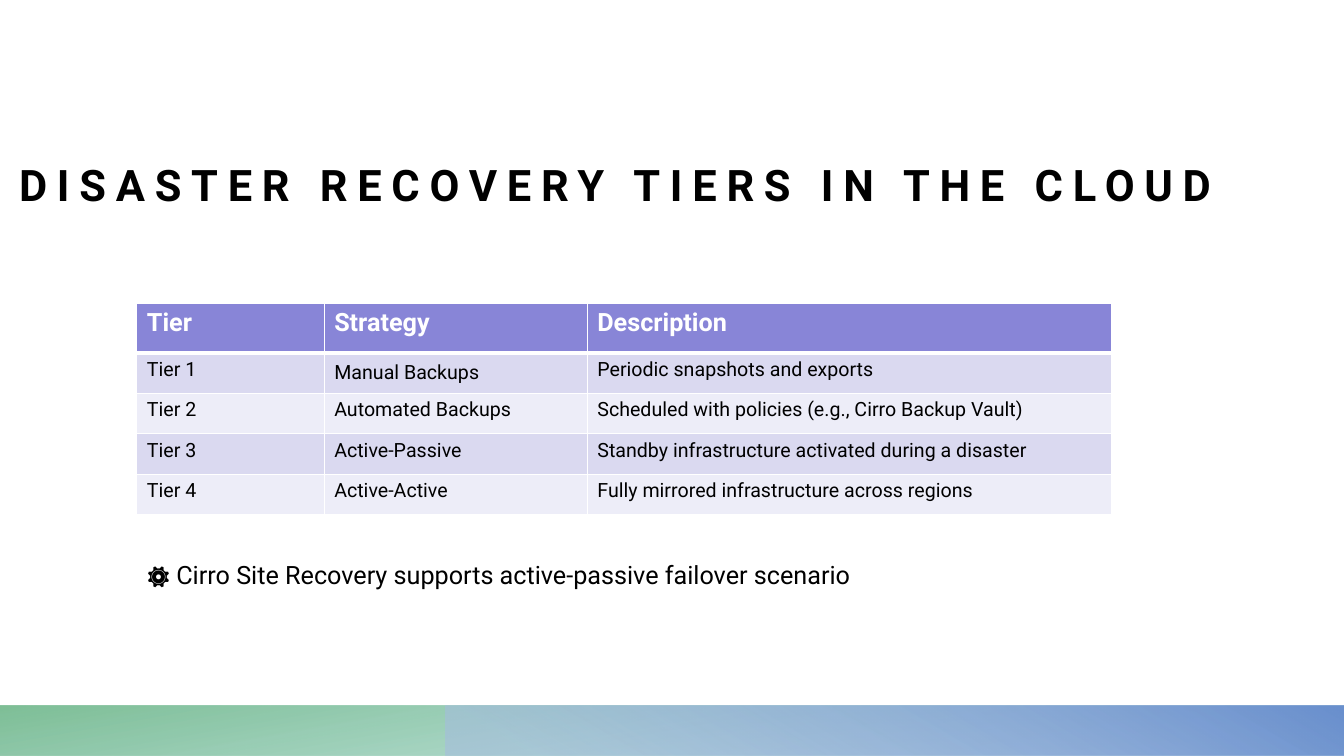
from pptx import Presentation
from pptx.dml.color import RGBColor
from pptx.enum.shapes import MSO_SHAPE
from pptx.enum.text import MSO_ANCHOR, MSO_AUTO_SIZE, PP_ALIGN
from pptx.oxml.ns import qn
from pptx.util import Cm, Pt
from lxml import etree

RECTANGLE = MSO_SHAPE.RECTANGLE
TOP, MIDDLE, BOTTOM = MSO_ANCHOR.TOP, MSO_ANCHOR.MIDDLE, MSO_ANCHOR.BOTTOM
LEFT = PP_ALIGN.LEFT
NO_AUTOFIT, GROW = MSO_AUTO_SIZE.NONE, MSO_AUTO_SIZE.SHAPE_TO_FIT_TEXT
TITLE_ONLY = 5

WIDTH, HEIGHT = 33.87, 19.05
BAND_TOP, BAND_HEIGHT, BLUE_LEFT = 17.78, 1.27, 11.22
CONTENT_LEFT = 3.45
COLUMN_WIDTHS = [4.72, 6.63, 13.21]
HEADER_HEIGHT, ROW_HEIGHT = 1.24, 1.02

TIERS = [
    ["Tier", "Strategy", "Description"],
    ["Tier 1", "Manual Backups", "Periodic snapshots and exports"],
    ["Tier 2", "Automated Backups", "Scheduled with policies (e.g., Cirro Backup Vault)"],
    ["Tier 3", "Active-Passive", "Standby infrastructure activated during a disaster"],
    ["Tier 4", "Active-Active", "Fully mirrored infrastructure across regions"],
]


def color(value):
    return RGBColor.from_string(value)


def set_all(target, values):
    for name, value in values.items():
        setattr(target, name, value)


def add_border(cell, side, points):
    line = etree.SubElement(cell._tc.get_or_add_tcPr(), qn(f"a:ln{side}"), w=str(Pt(points)))
    fill = etree.SubElement(line, qn("a:solidFill"))
    etree.SubElement(fill, qn("a:srgbClr"), val=SlideBuilder.WHITE)


class SlideBuilder:
    FONT = "Roboto"
    BLACK, WHITE = "000000", "FFFFFF"
    HEADER_FILL, ROW_FILLS = "8885D7", ("EDEDF8", "DAD9F0")

    def __init__(self, slide):
        self.slide = slide

    def add_text(self, frame, text, size, ink=BLACK, bold=False):
        paragraph = frame.paragraphs[0]
        paragraph.alignment = LEFT
        run = paragraph.add_run()
        run.text = text
        set_all(run.font, {"name": self.FONT, "size": Pt(size), "bold": bold})
        run.font.color.rgb = color(ink)
        return run

    def title(self, text, left, top, width, height):
        heading = self.slide.shapes.title
        set_all(heading, {"left": Cm(left), "top": Cm(top),
                          "width": Cm(width), "height": Cm(height)})
        set_all(heading.text_frame, {
            "margin_left": 0, "margin_right": 0, "margin_top": 0, "margin_bottom": 0,
            "vertical_anchor": BOTTOM, "word_wrap": True, "auto_size": NO_AUTOFIT})
        run = self.add_text(heading.text_frame, text, 31, bold=True)
        run.font._element.set("spc", "700")

    def band(self, left, stops, angle, rotation=0):
        """Draw a mirrored footer band; stops are (position %, colour, opacity %)."""
        band = self.slide.shapes.add_shape(
            RECTANGLE, Cm(left), Cm(BAND_TOP), Cm(WIDTH - left), Cm(BAND_HEIGHT))
        band.shadow.inherit = False
        band.line.fill.background()
        band.rotation = rotation
        band._element.spPr.find(qn("a:xfrm")).set("flipH", "1")
        band.fill.gradient()
        band.fill.gradient_angle = 360 - angle
        for stop, (position, shade, opacity) in zip(band.fill.gradient_stops, stops):
            stop.position = position / 100
            stop.color.rgb = color(shade)
            tint = stop._gs.find(qn("a:srgbClr"))
            etree.SubElement(tint, qn("a:alpha"), val=str(opacity * 1000))

    def table(self, rows, left, top):
        heights = [HEADER_HEIGHT] + [ROW_HEIGHT] * (len(rows) - 1)
        table = self.slide.shapes.add_table(
            len(rows), len(COLUMN_WIDTHS), Cm(left), Cm(top),
            Cm(sum(COLUMN_WIDTHS)), Cm(sum(heights))).table
        for column, width in zip(table.columns, COLUMN_WIDTHS):
            column.width = Cm(width)
        for r, (row, height) in enumerate(zip(rows, heights)):
            table.rows[r].height = Cm(height)
            for c, text in enumerate(row):
                self.cell(table.cell(r, c), text, r)
        table.cell(1, 1).vertical_anchor = MIDDLE

    def cell(self, cell, text, row):
        header = row == 0
        borders = {"L": 1, "R": 1, "T": 3 if row == 1 else 1, "B": 3 if header else 1}
        for side, points in borders.items():
            add_border(cell, side, points)
        cell.fill.solid()
        cell.fill.fore_color.rgb = color(self.HEADER_FILL if header else self.ROW_FILLS[row % 2])
        cell.vertical_anchor = TOP
        self.add_text(cell.text_frame, text, 18 if header else 14,
                      self.WHITE if header else self.BLACK, header)

    def note(self, text, left, top, width, height):
        frame = self.slide.shapes.add_textbox(
            Cm(left), Cm(top), Cm(width), Cm(height)).text_frame
        set_all(frame, {"word_wrap": True, "auto_size": GROW})
        self.add_text(frame, text, 18)


def main():
    presentation = Presentation()
    set_all(presentation, {"slide_width": Cm(WIDTH), "slide_height": Cm(HEIGHT)})
    builder = SlideBuilder(presentation.slides.add_slide(presentation.slide_layouts[TITLE_ONLY]))
    builder.band(0, [(14, "5DB4A2", 28), (100, "68B484", 85)], 100, rotation=180)
    builder.band(BLUE_LEFT, [(9, "A6BCE2", 55), (99, "6A90CE", 100)], 240)
    builder.title("DISASTER RECOVERY TIERS IN THE CLOUD", 0.48, 0.03, 33.38, 5.26)
    builder.table(TIERS, CONTENT_LEFT, 7.65)
    builder.note("⚙️ Cirro Site Recovery supports active-passive failover scenario",
                 CONTENT_LEFT, 13.97, 25.37, 1.02)
    presentation.save("out.pptx")


if __name__ == "__main__":
    main()
